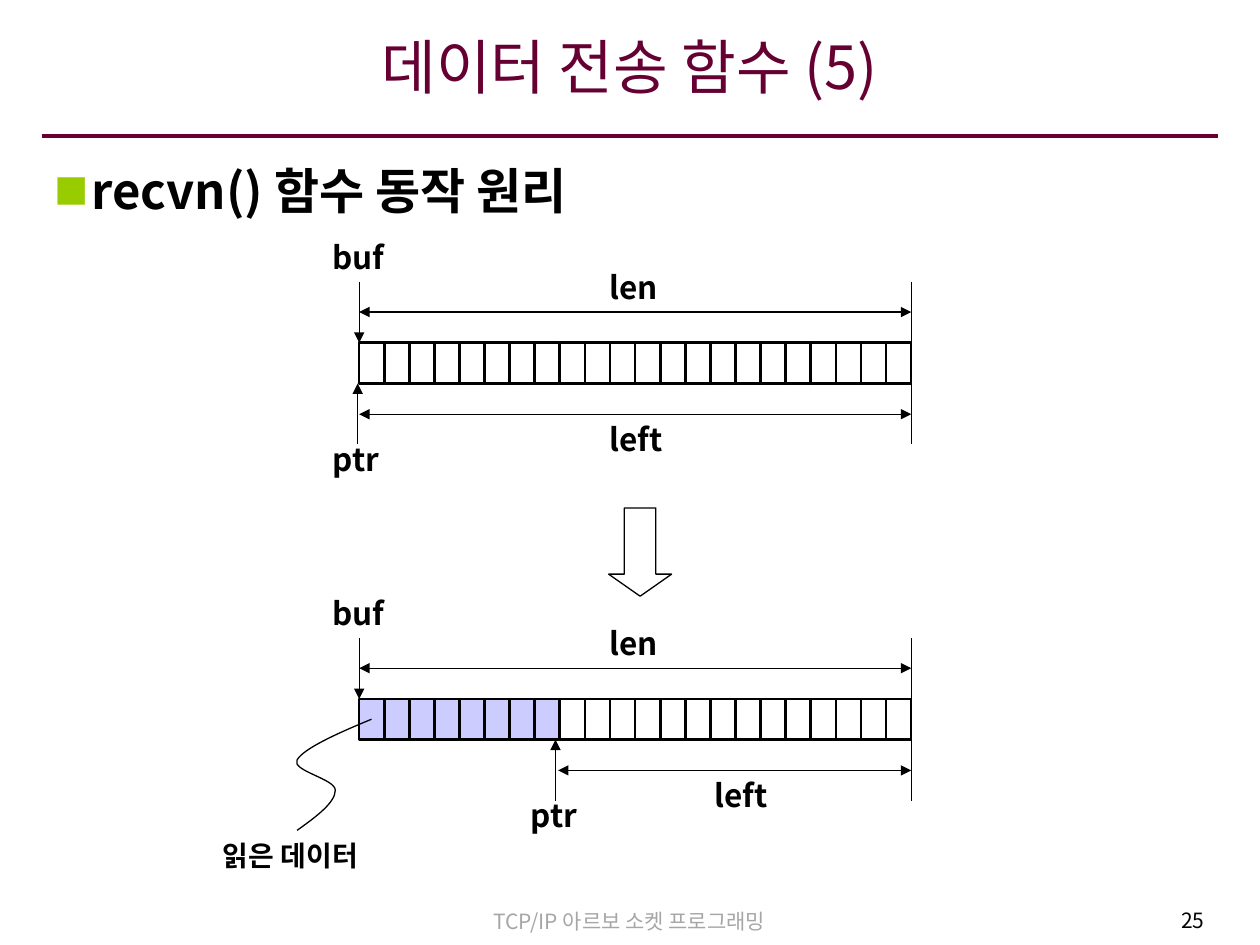
from typing import NamedTuple

from lxml import etree
from pptx import Presentation
from pptx.dml.color import RGBColor
from pptx.enum.shapes import MSO_CONNECTOR, MSO_SHAPE
from pptx.enum.text import MSO_ANCHOR, PP_ALIGN
from pptx.oxml.ns import qn
from pptx.util import Cm, Pt

LEFT, CENTER, RIGHT = PP_ALIGN.LEFT, PP_ALIGN.CENTER, PP_ALIGN.RIGHT
TOP, MIDDLE = MSO_ANCHOR.TOP, MSO_ANCHOR.MIDDLE
RECTANGLE, DOWN_ARROW = MSO_SHAPE.RECTANGLE, MSO_SHAPE.DOWN_ARROW
STRAIGHT = MSO_CONNECTOR.STRAIGHT

FONT = "Noto Sans CJK KR"
COLORS = {"wine": "660033", "ink": "000000", "gray": "A6A6A6",
          "bullet": "99CC00", "read": "CCCCFF"}

# Buffer geometry in centimetres
CELLS = 22
BUF_LEFT, BUF_RIGHT = 7.24, 18.37
CELL_WIDTH = (BUF_RIGHT - BUF_LEFT) / CELLS
CELL_HEIGHT = 0.82
LABEL_WIDTH, LABEL_HEIGHT = 4.29, 0.61


class Buffer(NamedTuple):
    top: float
    read_cells: int
    pointer: float
    left_start: float
    left_label: float
    left_align: PP_ALIGN


BUFFERS = [
    Buffer(6.91, 0, 7.21, BUF_LEFT, 12.04, LEFT),
    Buffer(14.09, 8, 11.2, 11.25, 12.8, CENTER),
]


def rgb(name: str) -> RGBColor:
    return RGBColor.from_string(COLORS[name])


def add_text(page, text: str, left: float, top: float, width: float, height: float,
             size: float, color: str = "ink", bold: bool = False,
             align=CENTER, anchor=MIDDLE, insets=(0.25, 0.13, 0.25, 0.13)):
    """Add a one-paragraph text box and return the paragraph."""
    box = page.shapes.add_textbox(Cm(left), Cm(top), Cm(width), Cm(height))
    frame = box.text_frame
    sides = ("margin_left", "margin_top", "margin_right", "margin_bottom")
    layout = {"word_wrap": True, "vertical_anchor": anchor}
    layout.update(zip(sides, map(Cm, insets)))
    for name, value in layout.items():
        setattr(frame, name, value)
    para = frame.paragraphs[0]
    para.alignment = align
    span = para.add_run()
    span.text = text
    for name, value in {"name": FONT, "size": Pt(size), "bold": bold}.items():
        setattr(span.font, name, value)
    span.font.color.rgb = rgb(color)
    etree.SubElement(span.font._element, qn("a:ea"), typeface=FONT)
    return para


def add_label(page, text: str, left: float, top: float, align=CENTER, size: float = 18) -> None:
    add_text(page, text, left, top, LABEL_WIDTH, LABEL_HEIGHT, size, bold=True, align=align)


def add_line(page, start: tuple, end: tuple, arrows: tuple = (),
             color: str = "ink", width: float = 0.75) -> None:
    """Arrows may name headEnd (at start) and tailEnd (at end), in that order."""
    line = page.shapes.add_connector(STRAIGHT, *map(Cm, start + end))
    line.line.color.rgb = rgb(color)
    line.line.width = Pt(width)
    for arrow in arrows:
        etree.SubElement(line.line._get_or_add_ln(), qn(f"a:{arrow}"), type="triangle")
    etree.SubElement(line._element.spPr, qn("a:effectLst"))


def style_outline(shape, width: float, fill: str = "") -> None:
    shape.shadow.inherit = False
    shape.line.color.rgb = rgb("ink")
    shape.line.width = Pt(width)
    if fill:
        shape.fill.solid()
        shape.fill.fore_color.rgb = rgb(fill)
    else:
        shape.fill.background()


def add_bullet(para) -> None:
    properties = para._p.get_or_add_pPr()
    properties.set("marL", str(Cm(0.76)))
    properties.set("indent", str(Cm(-0.76)))
    color = etree.SubElement(properties, qn("a:buClr"))
    etree.SubElement(color, qn("a:srgbClr"), val=COLORS["bullet"])
    etree.SubElement(properties, qn("a:buSzPct"), val="70000")
    etree.SubElement(properties, qn("a:buFont"), typeface=FONT)
    etree.SubElement(properties, qn("a:buChar"), char="■")


def add_curve(page, points: list) -> None:
    """Draw cubic Bezier segments: a start, then three points per segment."""
    start, *rest = [(Cm(x), Cm(y)) for x, y in points]
    builder = page.shapes.build_freeform(*start)
    builder.add_line_segments(rest, close=False)
    curve = builder.convert_to_shape()
    style_outline(curve, 0.75)
    outline = next(curve._element.iter(qn("a:moveTo"))).getparent()
    segments = outline.findall(qn("a:lnTo"))
    for index in range(0, len(segments), 3):
        cubic = etree.SubElement(outline, qn("a:cubicBezTo"))
        for segment in segments[index:index + 3]:
            cubic.append(segment[0])
            outline.remove(segment)


def add_buffer(page, buffer: Buffer) -> None:
    top, bottom = buffer.top, buffer.top + CELL_HEIGHT
    both = ("headEnd", "tailEnd")

    # Cells
    for index in range(CELLS):
        cell = page.shapes.add_shape(RECTANGLE, Cm(BUF_LEFT + index * CELL_WIDTH), Cm(top),
                                     Cm(CELL_WIDTH), Cm(CELL_HEIGHT))
        style_outline(cell, 1.5, "read" if index < buffer.read_cells else "")

    # Start of the buffer and its length, above
    add_label(page, "buf", 5.08, top - 2.04)
    add_line(page, (BUF_LEFT, top - 1.23), (BUF_LEFT, top), ("tailEnd",))
    add_line(page, (BUF_LEFT, top - 0.62), (BUF_RIGHT, top - 0.62), both)
    add_line(page, (BUF_RIGHT, top - 1.23), (BUF_RIGHT, top))
    add_label(page, "len", 12.04, top - 1.43, LEFT)

    # Read pointer and the remaining length, below
    add_label(page, "ptr", buffer.pointer - 0.03 - LABEL_WIDTH / 2, top + 2.04)
    add_line(page, (buffer.pointer, bottom), (buffer.pointer, bottom + 1.23), ("headEnd",))
    add_line(page, (buffer.left_start, bottom + 0.62), (BUF_RIGHT, bottom + 0.62), both)
    add_label(page, "left", buffer.left_label, top + 1.64, buffer.left_align)
    add_line(page, (BUF_RIGHT, bottom), (BUF_RIGHT, bottom + 1.23))


def main() -> None:
    deck = Presentation()
    deck.slide_width, deck.slide_height = Cm(25.4), Cm(19.05)
    page = deck.slides.add_slide(deck.slide_layouts[6])

    # Frame: rule, footer, page number, title
    add_line(page, (0.84, 2.74), (24.56, 2.74), color="wine", width=2.25)
    add_text(page, "TCP/IP 아르보 소켓 프로그래밍", 7.29, 18.19, 10.8, 0.76, 12, "gray", anchor=TOP)
    add_text(page, "25", 19.15, 18.16, 5.38, 0.84, 12, align=RIGHT, anchor=TOP)
    add_text(page, "데이터 전송 함수 (5)", 0.84, 0.38, 23.7, 2.16, 34, "wine",
             insets=(0.2, 0.13, 0.2, 0.41))

    # Heading
    heading = add_text(page, "recvn() 함수 동작 원리", 0.84, 3.1, 23.7, 14.88, 28,
                       bold=True, align=LEFT, anchor=TOP)
    heading.space_before = Pt(7)
    add_bullet(heading)

    # Buffer before and after reading
    for buffer in BUFFERS:
        add_buffer(page, buffer)
    step = page.shapes.add_shape(DOWN_ARROW, Cm(12.27), Cm(10.24), Cm(1.27), Cm(1.78))
    step.adjustments[0], step.adjustments[1] = 0.5, 0.35
    style_outline(step, 0.75)

    # Callout to the data already read
    add_curve(page, [(7.49, 14.5), (6.81, 14.78), (6.12, 15.09), (5.99, 15.32),
                     (5.87, 15.54), (6.76, 15.7), (6.76, 15.93),
                     (6.76, 16.18), (6.38, 16.46), (5.99, 16.74)])
    add_label(page, "읽은 데이터", 3.71, 16.94, size=16)

    deck.save("out.pptx")


if __name__ == "__main__":
    main()
